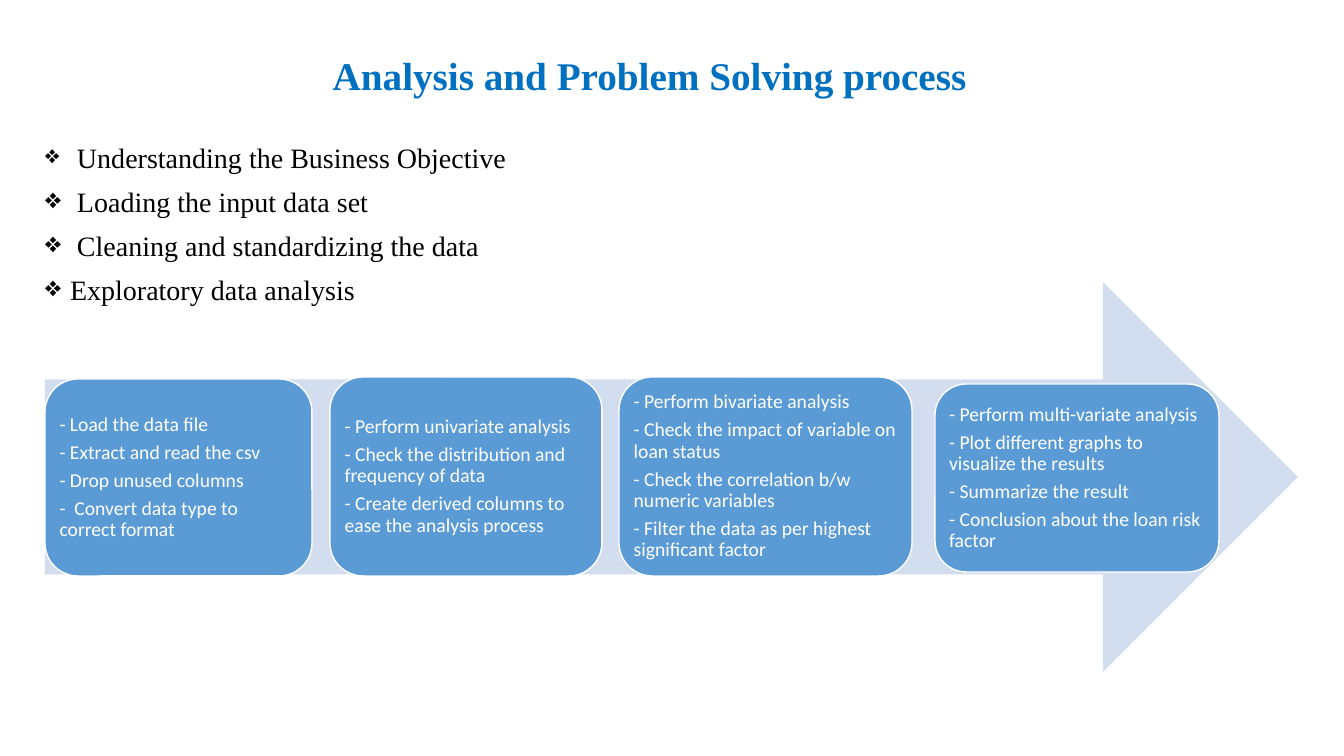
"""Build the analysis process slide: title, bulleted steps and an arrow of stages."""
from lxml.etree import SubElement
from pptx import Presentation
from pptx.dml.color import RGBColor
from pptx.enum.shapes import MSO_SHAPE as Shape
from pptx.enum.text import MSO_ANCHOR as Anchor, PP_ALIGN as Align
from pptx.oxml.ns import qn
from pptx.util import Emu, Pt

TITLE = "Analysis and Problem Solving process"
TITLE_BOX = (136, 30, 1027, 95)
STEPS = [
    (" Understanding the Business Objective", 90),
    (" Loading the input data set", 100),
    (" Cleaning and standardizing the data", 100),
    ("Exploratory data analysis", 100),
]
STEPS_BOX = (35, 139, 1231, 544)
ARROW_BOX = (45, 282, 1253, 390)
STAGES = [
    ((45, 379, 267, 197), [
        "- Load the data file",
        "- Extract and read the csv",
        "- Drop unused columns",
        "-  Convert data type to correct format",
    ]),
    ((330, 377, 272, 199), [
        "- Perform univariate analysis",
        "- Check the distribution and frequency of data",
        "- Create derived columns to ease the analysis process",
    ]),
    ((619, 377, 293, 199), [
        "- Perform bivariate analysis",
        "- Check the impact of variable on loan status",
        "- Check the correlation b/w numeric variables",
        "- Filter the data as per highest significant factor",
    ]),
    ((935, 384, 284, 188), [
        "- Perform multi-variate analysis",
        "- Plot different graphs to visualize the results",
        "- Summarize the result",
        "- Conclusion about the loan risk factor",
    ]),
]
SERIF, SANS = "Times New Roman", "Calibri"
BULLET, BULLET_INDENT = "❖", 25


def px(pixels):
    return Emu(round(pixels * 914400 / 100.8))


def color(value):
    return RGBColor.from_string(value)


def write(shape, lines, font_name, size, font_color, bold=False, align=Align.LEFT,
          anchor=Anchor.TOP, inset=(10, 5), before=0, after=0):
    frame = shape.text_frame
    frame.word_wrap = True
    frame.vertical_anchor = anchor
    frame.margin_left = frame.margin_right = px(inset[0])
    frame.margin_top = frame.margin_bottom = px(inset[1])
    frame.text = "\n".join(lines)
    for paragraph in frame.paragraphs:
        paragraph.alignment = align
        paragraph.line_spacing = 0.9
        paragraph.space_before, paragraph.space_after = Pt(before), Pt(after)
        for run in paragraph.runs:
            run.font.name, run.font.size, run.font.bold = font_name, Pt(size), bold
            run.font.color.rgb = color(font_color)


def add_bullet(paragraph, percent):
    properties = paragraph._p.get_or_add_pPr()
    properties.set("marL", str(px(BULLET_INDENT)))
    properties.set("indent", str(-px(BULLET_INDENT)))
    SubElement(properties, qn("a:buSzPct")).set("val", str(percent * 1000))
    SubElement(properties, qn("a:buChar")).set("char", BULLET)


def add_shape(kind, box, fill, line=None):
    shape = slide.shapes.add_shape(kind, *map(px, box))
    shape.shadow.inherit = False
    shape.fill.solid()
    shape.fill.fore_color.rgb = color(fill)
    if line:
        shape.line.color.rgb, shape.line.width = color(line), Pt(1)
    else:
        shape.line.fill.background()
    return shape


presentation = Presentation()
presentation.slide_width, presentation.slide_height = px(1344), px(756)
slide = presentation.slides.add_slide(presentation.slide_layouts[6])

steps = slide.shapes.add_textbox(*map(px, STEPS_BOX))
write(steps, [text for text, _ in STEPS], SERIF, 20, "000000", before=10)
for paragraph, (_, percent) in zip(steps.text_frame.paragraphs, STEPS):
    add_bullet(paragraph, percent)

title = slide.shapes.add_textbox(*map(px, TITLE_BOX))
write(title, [TITLE], SERIF, 28, "0070C0", bold=True, align=Align.CENTER,
      anchor=Anchor.MIDDLE)

add_shape(Shape.RIGHT_ARROW, ARROW_BOX, "D2DEEF")
for box, lines in STAGES:
    stage = add_shape(Shape.ROUNDED_RECTANGLE, box, "5B9BD5", "FFFFFF")
    write(stage, lines, SANS, 14, "FFFFFF", anchor=Anchor.MIDDLE, inset=(5, 5), after=4.9)

presentation.save("out.pptx")
